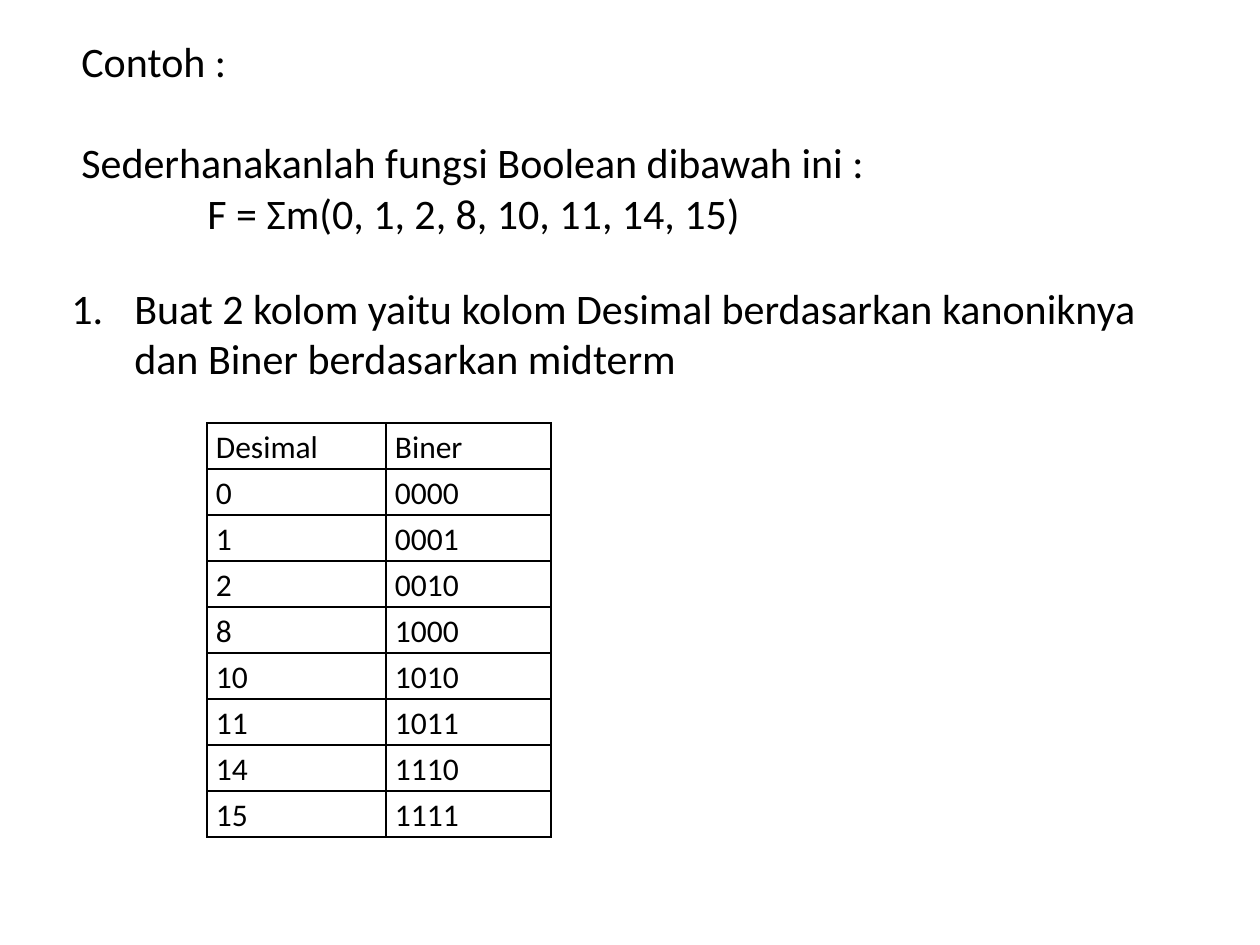
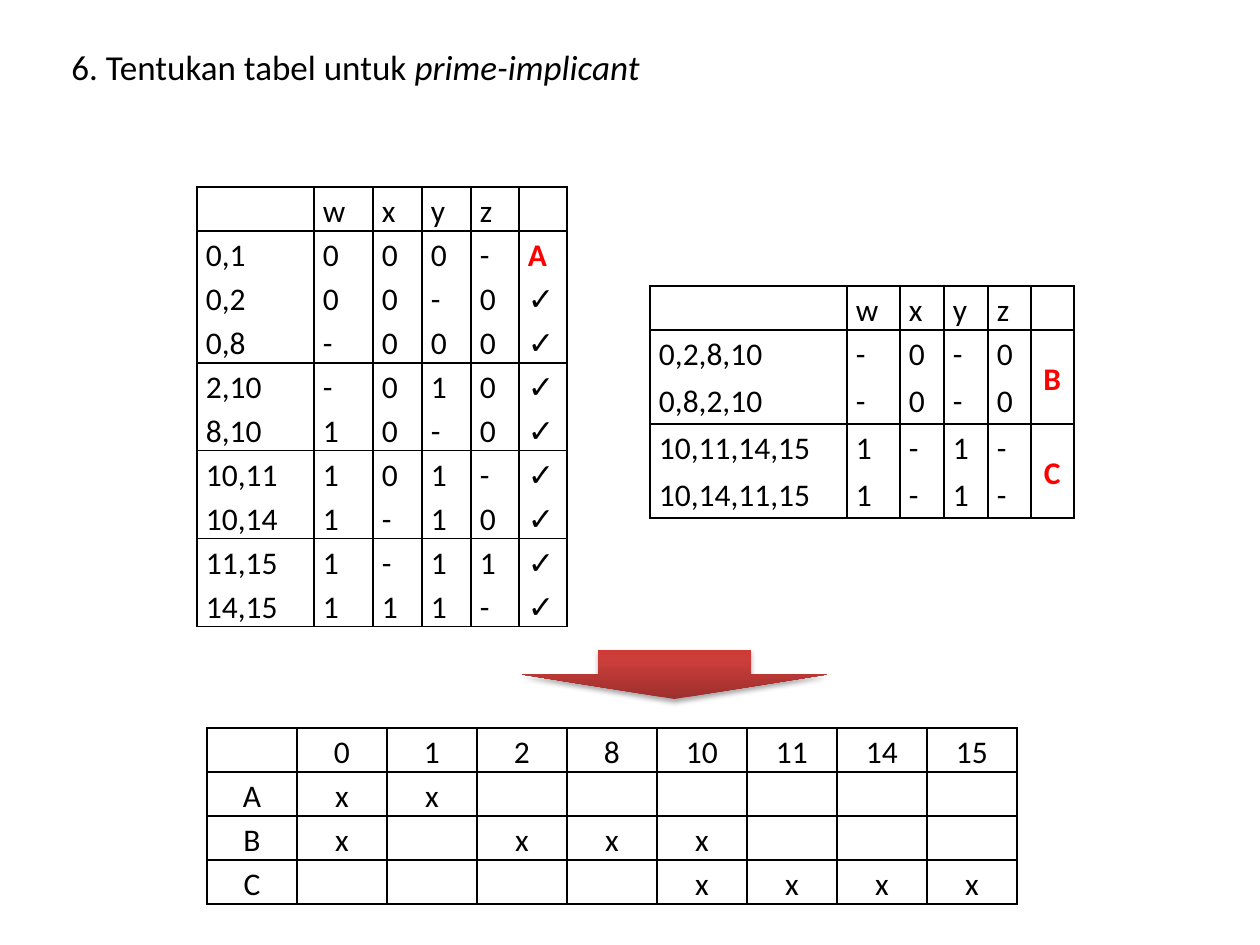
import dataclasses

import lxml.etree
import pptx
import pptx.dml.color
import pptx.enum.shapes
import pptx.enum.text
import pptx.oxml.ns
import pptx.util

PX_PER_INCH = 126
CENTER = pptx.enum.text.PP_ALIGN.CENTER
LEFT = pptx.enum.text.PP_ALIGN.LEFT


@dataclasses.dataclass(frozen=True)
class Theme:
    font: str = "Calibri"
    ink: str = "000000"
    mark: str = "FF0000"
    arrow_stops: tuple = ((0, "9C2F2D"), (80, "CB3E3A"), (100, "CE3B37"))
    body: int = 24
    title: int = 20
    cell: int = 18
    cell_spacing: float = 1.15
    thin: float = 1
    thick: float = 1.5


THEME = Theme()


def px(length):
    return pptx.util.Emu(round(length * 914400 / PX_PER_INCH))


def add_node(parent, tag, **attributes):
    node = lxml.etree.SubElement(parent, pptx.oxml.ns.qn(tag))
    for name, value in attributes.items():
        node.set(name, str(value))
    return node


def add_span(para, text, size, color=THEME.ink, bold=False, italic=False):
    span = para.add_run()
    span.text = text
    font = span.font
    font.name, font.size = THEME.font, pptx.util.Pt(size)
    font.bold, font.italic = bold, italic
    font.color.rgb = pptx.dml.color.RGBColor.from_string(color)


def add_text_frame(page, box):
    frame = page.shapes.add_textbox(*map(px, box)).text_frame
    frame.word_wrap = True
    return frame


def set_indent(para, margin, first_line=0):
    properties = para._p.get_or_add_pPr()
    properties.set("marL", str(px(margin)))
    properties.set("indent", str(px(first_line)))
    return properties


def add_introduction(page, box):
    frame = add_text_frame(page, box)
    heading = frame.paragraphs[0]
    add_span(heading, "Contoh :", THEME.body)
    task = frame.add_paragraph()
    task.space_before = pptx.util.Pt(29.3)
    add_span(task, "Sederhanakanlah fungsi Boolean dibawah ini :", THEME.body)
    formula = frame.add_paragraph()
    set_indent(formula, PX_PER_INCH)
    add_span(formula, "F = Σm(0, 1, 2, 8, 10, 11, 14, 15)", THEME.body)


def add_numbered_step(page, box, text):
    para = add_text_frame(page, box).paragraphs[0]
    properties = set_indent(para, 63, -63)
    add_node(properties, "a:buFont", typeface=THEME.font)
    add_node(properties, "a:buAutoNum", type="arabicPeriod")
    add_span(para, text, THEME.body)


def add_step_title(page, box, text, term):
    para = add_text_frame(page, box).paragraphs[0]
    add_span(para, text, THEME.title)
    add_span(para, term, THEME.title, italic=True)


def set_borders(cell, left, right, top, bottom):
    """Give each side its weight in points; zero hides the side."""
    properties = cell._tc.get_or_add_tcPr()
    sides = zip(("a:lnL", "a:lnR", "a:lnT", "a:lnB"), (left, right, top, bottom))
    for position, (tag, weight) in enumerate(sides):
        line = add_node(properties, tag, w=pptx.util.Pt(weight))
        if weight:
            add_node(add_node(line, "a:solidFill"), "a:srgbClr", val=THEME.ink)
        else:
            add_node(line, "a:noFill")
        properties.insert(position, line)


def fill_cell(cell, text, align=LEFT, **style):
    cell.fill.background()
    cell.margin_left = cell.margin_right = px(9)
    cell.margin_top = cell.margin_bottom = 0
    para = cell.text_frame.paragraphs[0]
    para.alignment = align
    para.line_spacing = THEME.cell_spacing
    if text:
        add_span(para, text, THEME.cell, **style)
    else:
        para.font.size = pptx.util.Pt(THEME.cell)


def add_table(page, origin, widths, heights, rows):
    frame = page.shapes.add_table(
        len(rows), len(widths), *map(px, (*origin, sum(widths), sum(heights))))
    table = frame.table
    table.first_row = table.horz_banding = False
    for column, width in zip(table.columns, widths):
        column.width = px(width)
    for row, height in zip(table.rows, heights):
        row.height = px(height)
    return table


def add_grid_table(page, origin, widths, row_height, rows, align=LEFT):
    """Table with a thin line round every cell."""
    table = add_table(page, origin, widths, [row_height] * len(rows), rows)
    for row, texts in enumerate(rows):
        for column, text in enumerate(texts):
            cell = table.cell(row, column)
            fill_cell(cell, text, align)
            set_borders(cell, *[THEME.thin] * 4)


def add_term_table(page, origin, widths, header_height, row_height, groups):
    """Minterm table ruled between groups; a None mark joins the cell above."""
    rows = [["", "w", "x", "y", "z", ""]] + [row for group in groups for row in group]
    heights = [header_height] + [row_height] * (len(rows) - 1)
    table = add_table(page, origin, widths, heights, rows)
    edges = {0: THEME.thick, 1: THEME.thick}
    group_end = 1
    for group in groups:
        group_end += len(group)
        edges[group_end] = THEME.thin
    last = len(widths) - 1
    for row, texts in enumerate(rows):
        side = THEME.thin if row else THEME.thick
        for column, text in enumerate(texts):
            cell = table.cell(row, column)
            joined = row + 1 < len(rows) and rows[row + 1][column] is None
            is_name = column == last and bool(text) and text.isalpha()
            fill_cell(cell, text, CENTER if joined else LEFT,
                      bold=column == last,
                      color=THEME.mark if is_name else THEME.ink)
            bottom = row + (2 if joined else 1)
            set_borders(cell, side, side, edges.get(row, 0), edges.get(bottom, 0))
            if joined:
                cell.vertical_anchor = pptx.enum.text.MSO_ANCHOR.MIDDLE
    for row, texts in enumerate(rows):
        if texts[last] is None:
            table.cell(row - 1, last).merge(table.cell(row, last))


def add_result_arrow(page, box):
    arrow = page.shapes.add_shape(
        pptx.enum.shapes.MSO_SHAPE.DOWN_ARROW, *map(px, box))
    arrow.line.fill.background()
    arrow.shadow.inherit = False
    properties = arrow._element.spPr
    gradient = add_node(properties, "a:gradFill", rotWithShape=1)
    stops = add_node(gradient, "a:gsLst")
    for percent, color in THEME.arrow_stops:
        stop = add_node(stops, "a:gs", pos=percent * 1000)
        add_node(stop, "a:srgbClr", val=color)
    add_node(gradient, "a:lin", ang=270 * 60000, scaled=0)
    properties.find(pptx.oxml.ns.qn("a:prstGeom")).addnext(gradient)
    effects = properties.find(pptx.oxml.ns.qn("a:effectLst"))
    shadow = add_node(effects, "a:outerShdw", blurRad=pptx.util.Pt(3.1),
                      dist=pptx.util.Pt(1.8), dir=90 * 60000, rotWithShape=0)
    add_node(add_node(shadow, "a:srgbClr", val=THEME.ink), "a:alpha", val=35000)


MINTERMS = (0, 1, 2, 8, 10, 11, 14, 15)

PAIR_GROUPS = [
    [["0,1", *"000-", "A"], ["0,2", *"00-0", "✓"], ["0,8", *"-000", "✓"]],
    [["2,10", *"-010", "✓"], ["8,10", *"10-0", "✓"]],
    [["10,11", *"101-", "✓"], ["10,14", *"1-10", "✓"]],
    [["11,15", *"1-11", "✓"], ["14,15", *"111-", "✓"]],
]

QUAD_GROUPS = [
    [["0,2,8,10", *"-0-0", "B"], ["0,8,2,10", *"-0-0", None]],
    [["10,11,14,15", *"1-1-", "C"], ["10,14,11,15", *"1-1-", None]],
]

PRIME_IMPLICANTS = {"A": (0, 1), "B": (0, 2, 8, 10), "C": (10, 11, 14, 15)}


def build_example_page(page):
    add_introduction(page, (69, 29, 1074, 217))
    add_numbered_step(
        page, (59, 276, 1162, 152),
        "Buat 2 kolom yaitu kolom Desimal berdasarkan kanoniknya "
        "dan Biner berdasarkan midterm")
    rows = [("Desimal", "Biner")] + [(str(term), f"{term:04b}") for term in MINTERMS]
    add_grid_table(page, (207, 423), (179, 165), 46, rows)


def build_implicant_page(page):
    chart = [["", *map(str, MINTERMS)]]
    for name, covered in PRIME_IMPLICANTS.items():
        chart.append([name, *("x" if term in covered else "" for term in MINTERMS)])
    add_grid_table(page, (207, 728), [90] * 9, 44, chart, CENTER)
    add_term_table(page, (197, 187), (117, 59, 49, 49, 48, 48), 44, 44, PAIR_GROUPS)
    add_term_table(page, (650, 286), (197, 53, 44, 44, 43, 43), 44, 47, QUAD_GROUPS)
    add_result_arrow(page, (522, 650, 305, 49))
    add_step_title(page, (59, 39, 1113, 93),
                   "6. Tentukan tabel untuk ", "prime-implicant")


def main():
    deck = pptx.Presentation()
    deck.slide_width, deck.slide_height = px(1260), px(945)
    for build in (build_example_page, build_implicant_page):
        build(deck.slides.add_slide(deck.slide_layouts[6]))
    deck.save("out.pptx")


if __name__ == "__main__":
    main()
